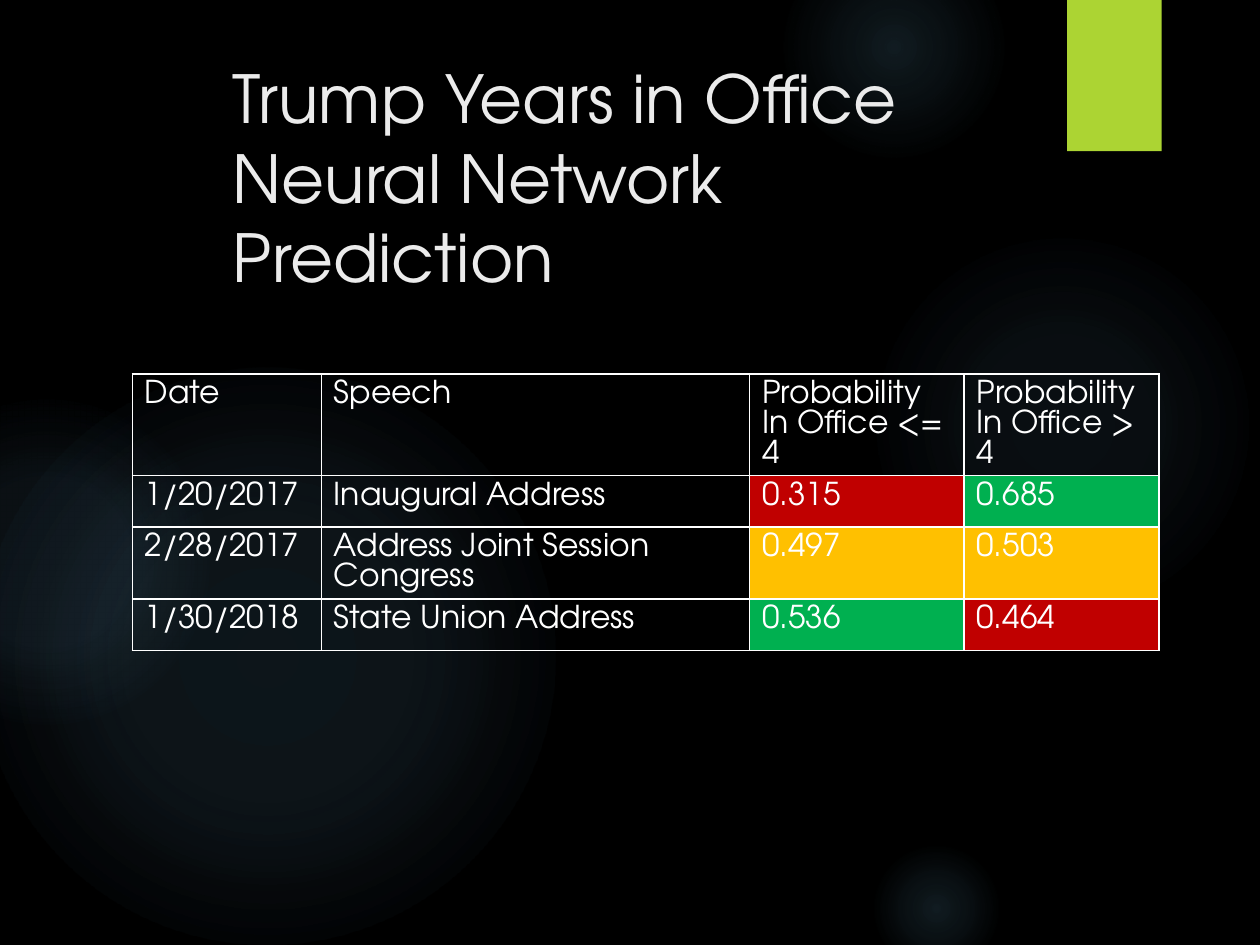
from lxml import etree
from pptx import Presentation
from pptx.dml.color import RGBColor
from pptx.enum.shapes import MSO_SHAPE
from pptx.enum.text import MSO_ANCHOR
from pptx.oxml import parse_xml
from pptx.oxml.ns import nsdecls, qn
from pptx.util import Inches, Pt

OVAL, RECTANGLE = MSO_SHAPE.OVAL, MSO_SHAPE.RECTANGLE
TOP = MSO_ANCHOR.TOP
FONT = "TeX Gyre Adventor"
BLACK, WHITE, LIGHT = "000000", "FFFFFF", "EBEBEB"
GLOW, LIME = "7AC4F0", "ACD433"
RED, GREEN, AMBER = "C00000", "00B050", "FFC000"

TITLE = ["Trump Years in Office", "Neural Network Prediction"]
HEADER = ["Date", "Speech", "Probability\nIn Office <= 4", "Probability\nIn Office > 4"]
# Date, speech, then (probability, fill) pairs
SPEECHES = [
    ["1/20/2017", "Inaugural Address", ("0.315", RED), ("0.685", GREEN)],
    ["2/28/2017", "Address Joint Session Congress", ("0.497", AMBER), ("0.503", AMBER)],
    ["1/30/2018", "State Union Address", ("0.536", GREEN), ("0.464", RED)],
]
COLUMN_WIDTHS = [1.5, 3.4, 1.7, 1.55]
ROW_HEIGHTS = [0.8, 0.41, 0.57, 0.41]

# Left, top, diameter, then (position %, opacity %) stops
GLOWS = [
    (6.89, 1.83, 3.08, [(0, 7), (36, 6), (69, 0)]),
    (6.22, -0.5, 1.75, [(0, 14), (36, 7), (73, 0)]),
    (6.89, 6.67, 1.08, [(0, 14), (36, 7), (66, 0)]),
    (-0.17, 2.92, 4.58, [(0, 11), (36, 10), (75, 0)]),
    (-0.92, 3.17, 2.58, [(0, 8), (36, 8), (72, 0)]),
]


def color(value):
    return RGBColor.from_string(value)


def write_lines(para, lines, size, text_color):
    for index, line in enumerate(lines):
        if index:
            para.add_line_break()
        span = para.add_run()
        span.text = line
        span.font.name = FONT
        span.font.size = Pt(size)
        span.font.color.rgb = color(text_color)


def add_plain_shape(page, kind, left, top, width, height):
    shape = page.shapes.add_shape(
        kind, Inches(left), Inches(top), Inches(width), Inches(height))
    shape.shadow.inherit = False
    shape.line.fill.background()
    return shape


def add_glow(page, left, top, diameter, stops):
    shape = add_plain_shape(page, OVAL, left, top, diameter, diameter)
    stop_xml = "".join(
        f'<a:gs pos="{position * 1000}"><a:srgbClr val="{GLOW}">'
        f'<a:alpha val="{opacity * 1000}"/></a:srgbClr></a:gs>'
        for position, opacity in stops)
    gradient = parse_xml(
        f'<a:gradFill {nsdecls("a")}><a:gsLst>{stop_xml}</a:gsLst><a:path path="circle">'
        '<a:fillToRect l="50000" t="50000" r="50000" b="50000"/></a:path></a:gradFill>')
    shape._element.spPr.find(qn("a:prstGeom")).addnext(gradient)


def add_borders(cell):
    properties = cell._tc.get_or_add_tcPr()
    for index, side in enumerate(("lnL", "lnR", "lnT", "lnB")):
        border = parse_xml(
            f'<a:{side} {nsdecls("a")} w="{Pt(1)}"><a:solidFill>'
            f'<a:srgbClr val="{WHITE}"/></a:solidFill></a:{side}>')
        properties.insert(index, border)


def fill_cell(cell, content):
    text, fill = content if isinstance(content, tuple) else (content, None)
    if fill:
        cell.fill.solid()
        cell.fill.fore_color.rgb = color(fill)
    else:
        cell.fill.background()
    add_borders(cell)
    para = cell.text_frame.paragraphs[0]
    para.line_spacing = Pt(16.9)
    write_lines(para, text.split("\n"), 18, WHITE)


deck = Presentation()
deck.slide_width, deck.slide_height = Inches(10), Inches(7.5)
page = deck.slides.add_slide(deck.slide_layouts[6])
page.background.fill.solid()
page.background.fill.fore_color.rgb = color(BLACK)

# Soft background glows
for glow in GLOWS:
    add_glow(page, *glow)

# Lime tab with a faint shadow
tab = add_plain_shape(page, RECTANGLE, 8.47, 0, 0.75, 1.2)
tab.fill.solid()
tab.fill.fore_color.rgb = color(LIME)
effects = tab._element.spPr.find(qn("a:effectLst"))
shadow = etree.SubElement(effects, qn("a:outerShdw"), blurRad=str(Pt(3)),
                          dist=str(Pt(2)), dir="5400000", rotWithShape="0")
shade = etree.SubElement(shadow, qn("a:srgbClr"), val=BLACK)
etree.SubElement(shade, qn("a:alpha"), val="45000")

# Title
box = page.shapes.add_textbox(Inches(1.75), Inches(0.41), Inches(6.49), Inches(1.3))
box.text_frame.word_wrap = True
box.text_frame.vertical_anchor = TOP
write_lines(box.text_frame.paragraphs[0], TITLE, 37.8, LIGHT)

# Prediction table
rows = [HEADER] + SPEECHES
frame = page.shapes.add_table(
    len(rows), len(HEADER), Inches(1.05), Inches(2.97),
    Inches(sum(COLUMN_WIDTHS)), Inches(sum(ROW_HEIGHTS)))
table = frame.table
table.horz_banding = False
table.first_row = False
for column, width in zip(table.columns, COLUMN_WIDTHS):
    column.width = Inches(width)
for row, height, contents in zip(table.rows, ROW_HEIGHTS, rows):
    row.height = Inches(height)
    for cell, content in zip(row.cells, contents):
        fill_cell(cell, content)

deck.save("out.pptx")
